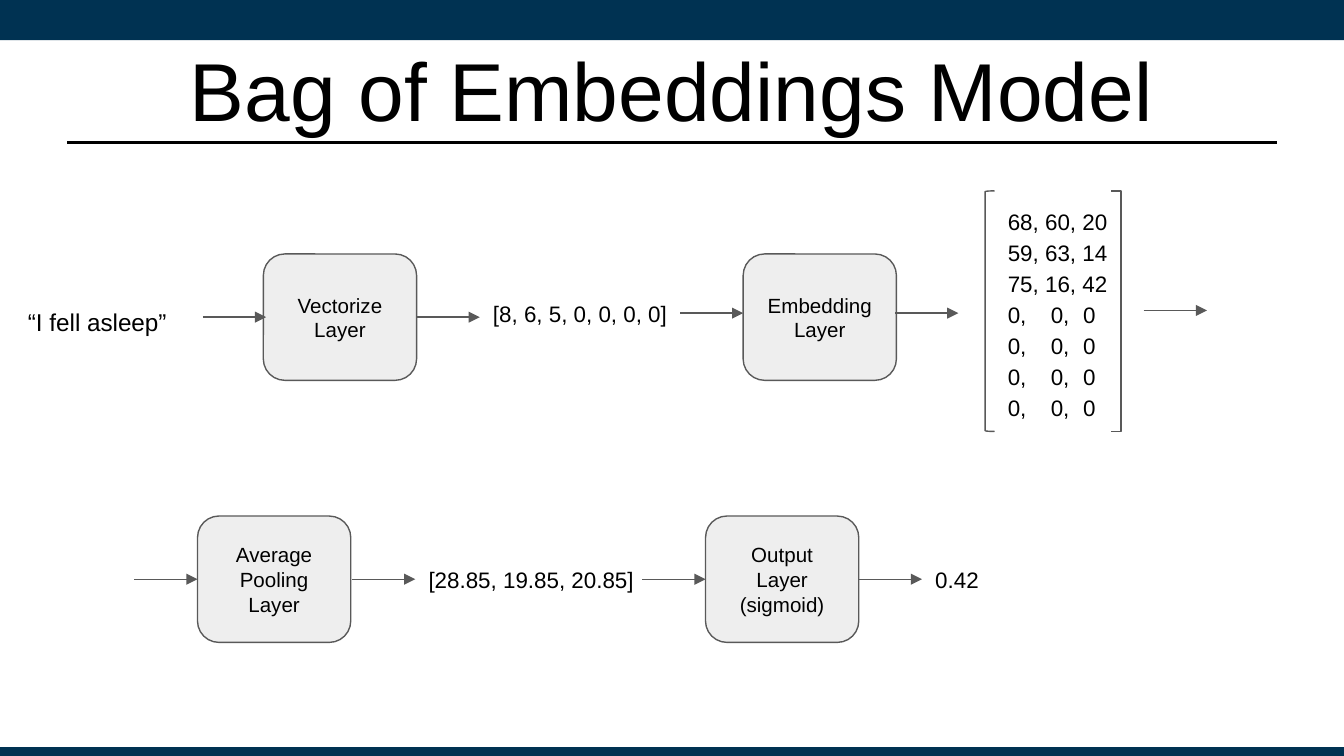
import dataclasses

import lxml.etree
import pptx
import pptx.dml.color
import pptx.enum.shapes
import pptx.enum.text
import pptx.oxml.ns
import pptx.util

EMU_PER_PX = 9144  # 100 px to the inch
SHAPE = pptx.enum.shapes.MSO_SHAPE
ALIGN = pptx.enum.text.PP_ALIGN
ANCHOR = pptx.enum.text.MSO_ANCHOR


@dataclasses.dataclass(frozen=True)
class Theme:
    band: str = "003252"
    ink: str = "000000"
    outline: str = "595959"
    layer_fill: str = "EEEEEE"
    font: str = "Arial"
    title_size: int = 44
    input_size: int = 13
    value_size: int = 12
    layer_size: int = 11
    rule_width: float = 1.25
    outline_width: float = 0.75


@dataclasses.dataclass(frozen=True)
class Box:
    left: int
    top: int
    width: int
    height: int


@dataclasses.dataclass(frozen=True)
class Layer:
    left: int
    top: int
    lines: tuple[str, ...]


@dataclasses.dataclass(frozen=True)
class Label:
    box: Box
    lines: tuple[str, ...]
    size: int
    spacing: float = 1.0


@dataclasses.dataclass(frozen=True)
class Arrow:
    left: int
    y: int


@dataclasses.dataclass(frozen=True)
class Bracket:
    left: int
    preset: SHAPE
    curve: float


THEME = Theme()
SLIDE_WIDTH = 1000
LAYER_WIDTH, LAYER_HEIGHT = 114, 94
ARROW_LENGTH = 47
INSET = 10
ZERO_ROW = "0,\t0,\t0"
ZERO_ROW_TABS = (32, 56)
MATRIX_TOP, MATRIX_HEIGHT = 142, 179
TOP_ROW, BOTTOM_ROW = 189, 384

BANDS = (Box(0, 0, SLIDE_WIDTH, 30), Box(0, 556, SLIDE_WIDTH, 7))
LAYERS = (
    Layer(196, TOP_ROW, ("Vectorize", "Layer")),
    Layer(553, TOP_ROW, ("Embedding", "Layer")),
    Layer(147, BOTTOM_ROW, ("Average", "Pooling", "Layer")),
    Layer(525, BOTTOM_ROW, ("Output", "Layer", "(sigmoid)")),
)
LABELS = (
    Label(Box(11, 215, 140, 42), ("“I fell asleep”",), THEME.input_size, 1.15),
    Label(Box(357, 213, 156, 40), ("[8, 6, 5, 0, 0, 0, 0]",), THEME.value_size),
    Label(Box(740, MATRIX_TOP, 129, 180),
          ("68, 60, 20", "59, 63, 14", "75, 16, 42") + (ZERO_ROW,) * 4,
          THEME.value_size, 1.15),
    Label(Box(309, 411, 188, 40), ("[28.85, 19.85, 20.85]",), THEME.value_size),
    Label(Box(686, 411, 188, 40), ("0.42",), THEME.value_size),
)
ARROWS = (
    Arrow(151, 236), Arrow(310, 236), Arrow(506, 233), Arrow(666, 233), Arrow(851, 231),
    Arrow(100, 431), Arrow(262, 431), Arrow(478, 431), Arrow(639, 431),
)
BRACKETS = (
    Bracket(733, SHAPE.LEFT_BRACKET, 0.08),
    Bracket(827, SHAPE.RIGHT_BRACKET, 0),
)


def px(length: int) -> pptx.util.Emu:
    return pptx.util.Emu(length * EMU_PER_PX)


def rgb(value: str) -> pptx.dml.color.RGBColor:
    return pptx.dml.color.RGBColor.from_string(value)


def place(box: Box) -> tuple[pptx.util.Emu, ...]:
    return tuple(px(length) for length in dataclasses.astuple(box))


def add_child(parent, tag: str, **attributes: str):
    return lxml.etree.SubElement(parent, pptx.oxml.ns.qn(tag), attributes)


def write(frame, lines: tuple[str, ...], size: int, align=ALIGN.LEFT,
          anchor=ANCHOR.TOP, spacing: float = 1.0, inset_y: int = INSET) -> None:
    """Fill a text frame, one paragraph per line, with tab stops where a line has tabs."""
    frame.word_wrap = True
    frame.vertical_anchor = anchor
    frame.margin_left = frame.margin_right = px(INSET)
    frame.margin_top = frame.margin_bottom = px(inset_y)
    for index, line in enumerate(lines):
        paragraph = frame.add_paragraph() if index else frame.paragraphs[0]
        paragraph.text = line
        paragraph.alignment = align
        paragraph.line_spacing = spacing
        if "\t" in line:
            stops = add_child(paragraph._p.get_or_add_pPr(), "a:tabLst")
            for stop in ZERO_ROW_TABS:
                add_child(stops, "a:tab", pos=str(px(stop)), algn="l")
        paragraph.font.name = THEME.font
        paragraph.font.size = pptx.util.Pt(size)
        paragraph.font.color.rgb = rgb(THEME.ink)


def add_outlined(slide, preset: SHAPE, box: Box, adjustment: float):
    shape = slide.shapes.add_shape(preset, *place(box))
    shape.shadow.inherit = False
    shape.adjustments[0] = adjustment
    shape.line.color.rgb = rgb(THEME.outline)
    shape.line.width = pptx.util.Pt(THEME.outline_width)
    return shape


def add_band(slide, box: Box) -> None:
    band = slide.shapes.add_shape(SHAPE.RECTANGLE, *place(box))
    band.shadow.inherit = False
    band.fill.solid()
    band.fill.fore_color.rgb = rgb(THEME.band)
    band.line.fill.background()


def add_layer(slide, layer: Layer) -> None:
    box = Box(layer.left, layer.top, LAYER_WIDTH, LAYER_HEIGHT)
    shape = add_outlined(slide, SHAPE.ROUNDED_RECTANGLE, box, 0.17)
    shape.fill.solid()
    shape.fill.fore_color.rgb = rgb(THEME.layer_fill)
    write(shape.text_frame, layer.lines, THEME.layer_size, ALIGN.CENTER, ANCHOR.MIDDLE)


def add_label(slide, label: Label) -> None:
    text = slide.shapes.add_textbox(*place(label.box))
    write(text.text_frame, label.lines, label.size, spacing=label.spacing)


def add_bracket(slide, bracket: Bracket) -> None:
    box = Box(bracket.left, MATRIX_TOP, 7, MATRIX_HEIGHT)
    add_outlined(slide, bracket.preset, box, bracket.curve).fill.background()


def add_line(slide, left: int, right: int, y: int, color: str, width: float):
    line = slide.shapes.add_connector(
        pptx.enum.shapes.MSO_CONNECTOR.STRAIGHT, px(left), px(y), px(right), px(y))
    line.line.color.rgb = rgb(color)
    line.line.width = pptx.util.Pt(width)
    add_child(line._element.spPr, "a:effectLst")
    return line


def add_arrow(slide, arrow: Arrow) -> None:
    line = add_line(slide, arrow.left, arrow.left + ARROW_LENGTH, arrow.y,
                    THEME.outline, THEME.outline_width)
    add_child(line.line._get_or_add_ln(), "a:tailEnd", type="triangle")


def main() -> None:
    deck = pptx.Presentation()
    deck.slide_width = px(SLIDE_WIDTH)
    deck.slide_height = pptx.util.Emu(deck.slide_width * 9 // 16)
    slide = deck.slides.add_slide(deck.slide_layouts[6])
    for band in BANDS:
        add_band(slide, band)
    add_line(slide, 50, 950, 106, THEME.ink, THEME.rule_width)
    title = slide.shapes.add_textbox(*place(Box(50, 19, 900, 94)))
    write(title.text_frame, ("Bag of Embeddings Model",), THEME.title_size,
          ALIGN.CENTER, ANCHOR.MIDDLE, inset_y=5)
    for items, draw in ((LAYERS, add_layer), (LABELS, add_label),
                        (BRACKETS, add_bracket), (ARROWS, add_arrow)):
        for item in items:
            draw(slide, item)
    deck.save("out.pptx")


if __name__ == "__main__":
    main()
